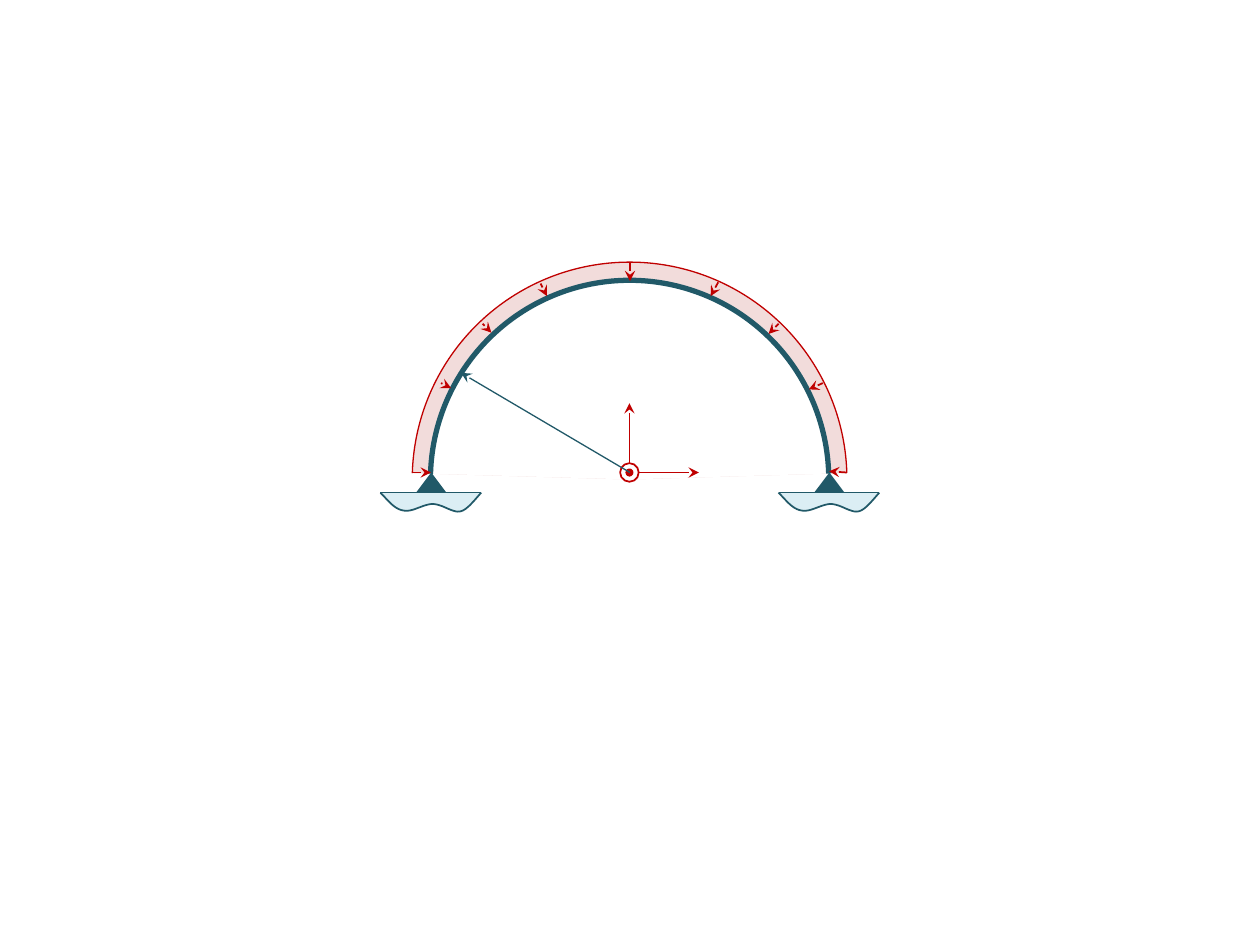
"""Draw an arch under radial pressure, with two supports and its axes."""
import pptx
import pptx.util
import pptx.dml.color
import pptx.enum.shapes
import pptx.oxml
import pptx.oxml.ns

Pt = pptx.util.Pt
RGB = pptx.dml.color.RGBColor
KIND = pptx.enum.shapes.MSO_SHAPE
LINE = pptx.enum.shapes.MSO_CONNECTOR.STRAIGHT

RED = RGB(0xC0, 0x00, 0x00)
PINK = RGB(0xF2, 0xDC, 0xDB)
TEAL = RGB(0x21, 0x59, 0x68)
PALE = RGB(0xDB, 0xEE, 0xF4)
WHITE = RGB(0xFF, 0xFF, 0xFF)

ARCH = (359.8, 274)
SWEEP = (108.993, 214.978)
ARCS = [(124.2, PINK, RED, 0.75), (113.8, WHITE, TEAL, 3)]
HUB = (359.7, 270)
AXIS = 39.6
RINGS = [(5.3, WHITE), (1.8, RED)]
BASES = [217.4, 444.9]
GROUND, SPAN = 281.5, 57.6
WAVE = [
    ((0, 0), (4.3, 4.3), (7.9, 9.4), (13, 10.2)),
    ((13, 10.2), (18, 11.5), (24.5, 6.5), (29.8, 6.5)),
    ((29.8, 6.5), (35.3, 6.5), (41, 11.5), (45.4, 10.8)),
    ((45.4, 10.8), (49, 10.2), (52.6, 5.8), (57.6, 0)),
]
STEPS = 12
LOADS = [
    ((483.8, 270), (473.8, 269.3)),
    ((236.2, 270), (246.2, 270)),
    ((360, 149.8), (360, 160.6)),
    ((275.8, 185), (280.8, 190.1)),
    ((445, 185), (439.2, 190.8)),
    ((252, 218.9), (257.8, 221.8)),
    ((308.9, 162), (312.5, 169.2)),
    ((410.4, 161.3), (406.1, 169.2)),
    ((470.2, 218.9), (462.2, 222.5)),
]
RADIUS = ((263.5, 213.1), (360, 270))


def paint(shape, fill, line=None, width=1):
    shape.shadow.inherit = False
    shape.fill.solid()
    shape.fill.fore_color.rgb = fill
    if line is None:
        shape.line.fill.background()
    else:
        shape.line.color.rgb = line
        shape.line.width = Pt(width)


def place(owner, kind, left, top, wide, high):
    return owner.add_shape(kind, Pt(left), Pt(top), Pt(wide), Pt(high))


def disc(owner, kind, mid, rad):
    return place(owner, kind, mid[0] - rad, mid[1] - rad, 2 * rad, 2 * rad)


def rule(owner, start, end, color, width=1, tip=None):
    line = owner.add_connector(LINE, *map(Pt, start + end))
    line.line.color.rgb = color
    line.line.width = Pt(width)
    if tip:
        mark = pptx.oxml.ns.qn("a:" + tip)
        line.line._get_or_add_ln().makeelement
        node = line.line._get_or_add_ln()
        node.append(node.makeelement(mark, {"type": "stealth"}))
    props = line._element.spPr
    props.append(props.makeelement(pptx.oxml.ns.qn("a:effectLst"), {}))


def curve(knots, t):
    mix = ((1 - t) ** 3, 3 * t * (1 - t) ** 2, 3 * t * t * (1 - t), t ** 3)
    return tuple(sum(m * k[i] for m, k in zip(mix, knots)) for i in (0, 1))


def base(owner, left):
    peak = place(owner, KIND.ISOSCELES_TRIANGLE, left + 20.4, GROUND - 11.5, 17.3, 11.5)
    paint(peak, TEAL)
    dots = [curve(k, i / STEPS) for k in WAVE for i in range(1, STEPS + 1)]
    form = owner.build_freeform(Pt(left), Pt(GROUND))
    form.add_line_segments([(Pt(left + x), Pt(GROUND + y)) for x, y in dots], close=False)
    paint(form.convert_to_shape(), PALE, TEAL)
    rule(owner, (left, GROUND), (left + SPAN, GROUND), TEAL)


def main():
    deck = pptx.Presentation()
    deck.slide_width, deck.slide_height = Pt(720), Pt(540)
    shapes = deck.slides.add_slide(deck.slide_layouts[6]).shapes
    for rad, fill, line, width in ARCS:
        arc = disc(shapes, KIND.ARC, ARCH, rad)
        arc.adjustments[0], arc.adjustments[1] = SWEEP
        paint(arc, fill, line, width)
    axes = shapes.add_group_shape().shapes
    x, y = HUB
    for end in [(x + AXIS, y), (x, y - AXIS)]:
        rule(axes, HUB, end, RED, tip="tailEnd")
    for rad, fill in RINGS:
        paint(disc(axes, KIND.OVAL, HUB, rad), fill, RED)
    for left in BASES:
        base(shapes.add_group_shape().shapes, left)
    for start, end in LOADS:
        rule(shapes, start, end, RED, tip="tailEnd")
    rule(shapes, *RADIUS, TEAL, 0.75, "headEnd")
    deck.save("out.pptx")


if __name__ == "__main__":
    main()
